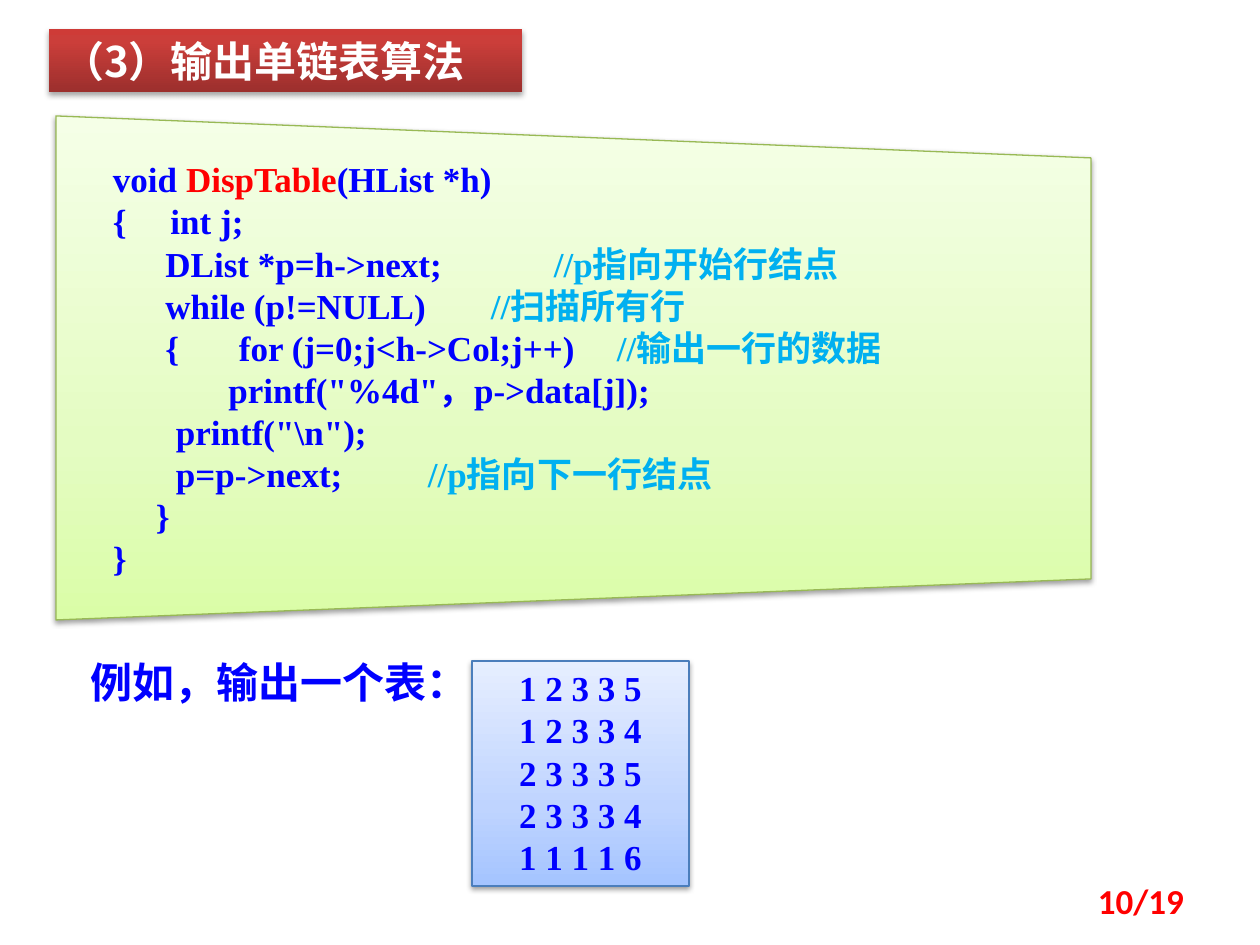
from copy import deepcopy

from lxml import etree
from pptx import Presentation
from pptx.dml.color import RGBColor
from pptx.enum.shapes import MSO_SHAPE
from pptx.enum.text import MSO_ANCHOR, MSO_AUTO_SIZE, PP_ALIGN
from pptx.oxml.ns import qn
from pptx.util import Pt

RECT = MSO_SHAPE.RECTANGLE
TOP, MID = MSO_ANCHOR.TOP, MSO_ANCHOR.MIDDLE
LEFT, CENTER, RIGHT = PP_ALIGN.LEFT, PP_ALIGN.CENTER, PP_ALIGN.RIGHT
FIXED = MSO_AUTO_SIZE.NONE

PX = 914400 / 126
PAD = (13, 6)
SERIF, SANS, HAN = "Times New Roman", "Calibri", "Noto Sans CJK SC"

WHITE = RGBColor(0xFF, 0xFF, 0xFF)
BLUE = RGBColor(0x00, 0x00, 0xFF)
RED = RGBColor(0xFF, 0x00, 0x00)
SKY = RGBColor(0x00, 0xB0, 0xF0)
MOSS = RGBColor(0x98, 0xB9, 0x55)
STEEL = RGBColor(0x4B, 0x7E, 0xBC)
REDS = [(0, RGBColor(0x9C, 0x2F, 0x2D)), (0.8, RGBColor(0xCB, 0x3E, 0x3A)),
        (1, RGBColor(0xCE, 0x3B, 0x37))]
GREENS = [(0, RGBColor(0xDA, 0xFD, 0xA7)), (0.35, RGBColor(0xE4, 0xFC, 0xC2)),
          (1, RGBColor(0xF5, 0xFF, 0xE7))]
BLUES = [(0, RGBColor(0xA4, 0xC4, 0xFF)), (0.35, RGBColor(0xBF, 0xD4, 0xFF)),
         (1, RGBColor(0xE6, 0xEE, 0xFF))]

CODE = [
    [("void ", BLUE), ("DispTable", RED), ("(HList *h)", BLUE)],
    [("{     int j;", BLUE)],
    [("      DList *p=h->next;\t\t", BLUE), ("//p指向开始行结点", SKY)],
    [("      while (p!=NULL)\t\t", BLUE), ("//扫描所有行", SKY)],
    [("      {\tfor (j=0;j<h->Col;j++)\t", BLUE), ("//输出一行的数据", SKY)],
    [("\t      printf(\"%4d\"，p->data[j]);", BLUE)],
    [("\tprintf(\"\\n\");", BLUE)],
    [("\tp=p->next;\t\t", BLUE), ("//p指向下一行结点", SKY)],
    [("　 }", BLUE)],
    [("}", BLUE)],
]
ROWS = ["1 2 3 3 5", "1 2 3 3 4", "2 3 3 3 5", "2 3 3 3 4", "1 1 1 1 6"]


def px(*nums):
    return [round(n * PX) for n in nums]


class Deck:
    """Holds the style and the current slide, and draws each kind of element."""

    def __init__(self):
        self.prs = Presentation()
        self.prs.slide_width, self.prs.slide_height = px(1260, 945)
        self.slide = self.prs.slides.add_slide(self.prs.slide_layouts[5])
        self.shapes = self.slide.shapes

    def paint(self, shape, stops, edge=None, alpha=38, dist=1.6):
        shape.fill.gradient()
        shape.fill.gradient_angle = 90
        group = shape._element.spPr.find(".//" + qn("a:gsLst"))
        group.insert(1, deepcopy(group[0]))
        for stop, (pos, color) in zip(shape.fill.gradient_stops, stops):
            stop.position = pos
            stop.color.rgb = color
        if edge is None:
            shape.line.fill.background()
        else:
            shape.line.color.rgb = edge
            shape.line.width = Pt(0.75)
        shape.shadow.inherit = False
        glow = shape._element.spPr.find(qn("a:effectLst"))
        cast = etree.SubElement(glow, qn("a:outerShdw"), blurRad=str(Pt(3.1)),
                                dist=str(Pt(dist)), dir="5400000", rotWithShape="0")
        tint = etree.SubElement(cast, qn("a:srgbClr"), val="000000")
        etree.SubElement(tint, qn("a:alpha"), val=str(alpha * 1000))

    def fill_text(self, shape, lines, size, face, align=LEFT, anchor=TOP,
                  pad=PAD, pitch=None):
        frame = shape.text_frame
        frame.word_wrap = True
        frame.auto_size = FIXED
        frame.vertical_anchor = anchor
        frame.margin_left, frame.margin_top = px(*pad)
        frame.margin_right, frame.margin_bottom = px(*pad)
        frame.text = "\n".join("" for _ in lines)
        for para, parts in zip(frame.paragraphs, lines):
            para.alignment = align
            if pitch:
                para.line_spacing = Pt(pitch)
            for text, color in parts:
                run = para.add_run()
                run.text = text
                font = run.font
                font.size, font.name, font.bold = Pt(size), face, True
                font.color.rgb = color
                etree.SubElement(run._r.rPr, qn("a:ea"), typeface=HAN)

    def title(self, text, box):
        shape = self.shapes.title
        shape.left, shape.top, shape.width, shape.height = px(*box)
        self.paint(shape, REDS, alpha=35, dist=1.8)
        self.fill_text(shape, [[(text, WHITE)]], 24, HAN, anchor=MID)

    def panel(self, points, lines, pad):
        first, *rest = points
        pen = self.shapes.build_freeform(*first, scale=PX)
        pen.add_line_segments(rest)
        shape = pen.convert_to_shape()
        self.paint(shape, GREENS, MOSS)
        self.fill_text(shape, lines, 20, SERIF, pad=pad, pitch=24)

    def block(self, rows, box):
        shape = self.shapes.add_shape(RECT, *px(*box))
        self.paint(shape, BLUES, STEEL)
        lines = [[(row, BLUE)] for row in rows]
        self.fill_text(shape, lines, 20, SERIF, CENTER, pitch=24)

    def label(self, text, box, size, face, color, **style):
        shape = self.shapes.add_textbox(*px(*box))
        self.fill_text(shape, [[(text, color)]], size, face, **style)


def main():
    deck = Deck()
    deck.title("（3）输出单链表算法", (49, 29, 473, 63))
    deck.panel([(56, 116), (1091, 158), (1091, 579), (56, 620)], CODE, (57, 42))
    deck.block(ROWS, (472, 661, 217, 225))
    deck.label("例如，输出一个表：", (78, 651, 423, 63), 24, HAN, BLUE)
    deck.label("10/19", (903, 876, 294, 50), 20, SANS, RED,
               align=RIGHT, anchor=MID)
    deck.prs.save("out.pptx")


if __name__ == "__main__":
    main()
